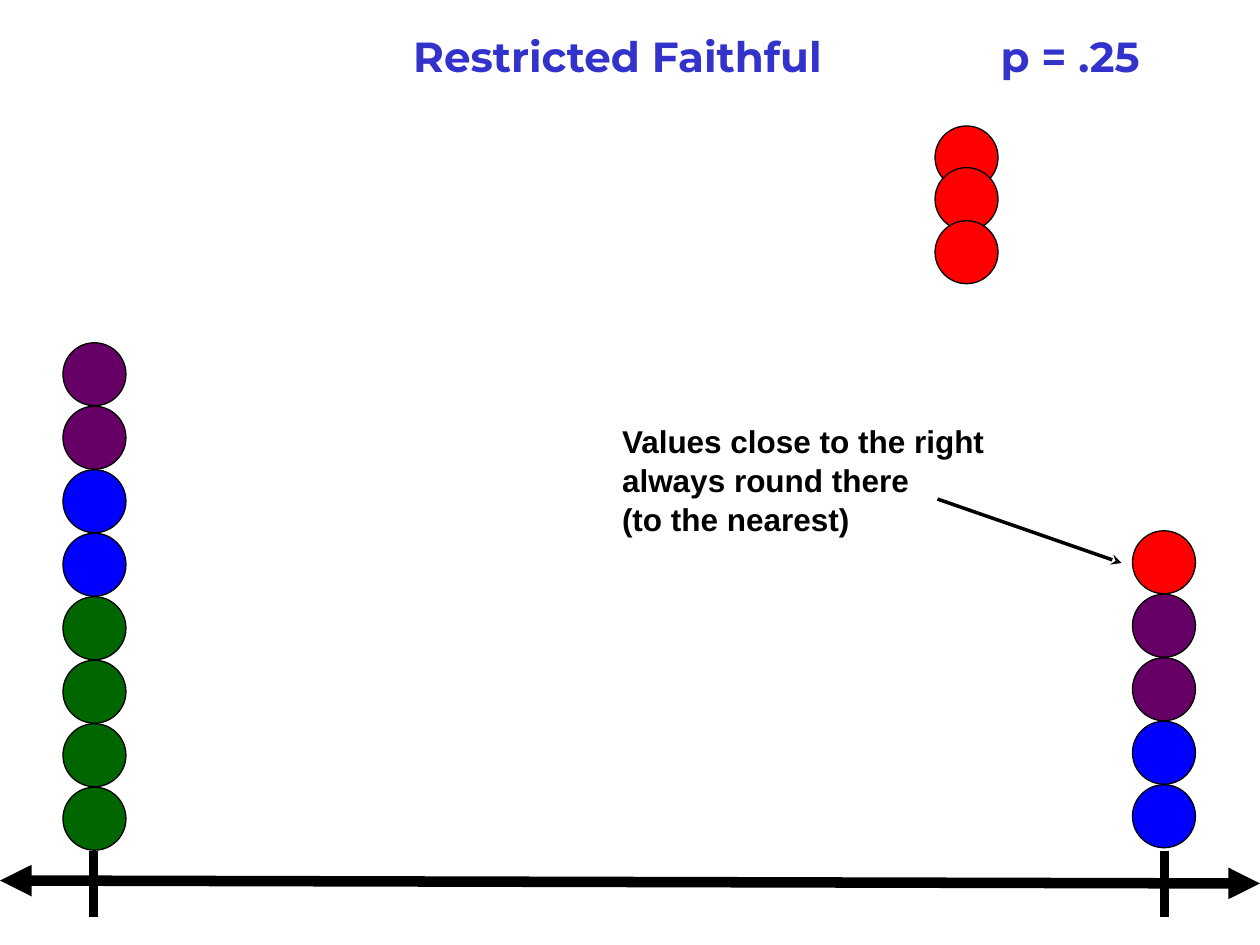
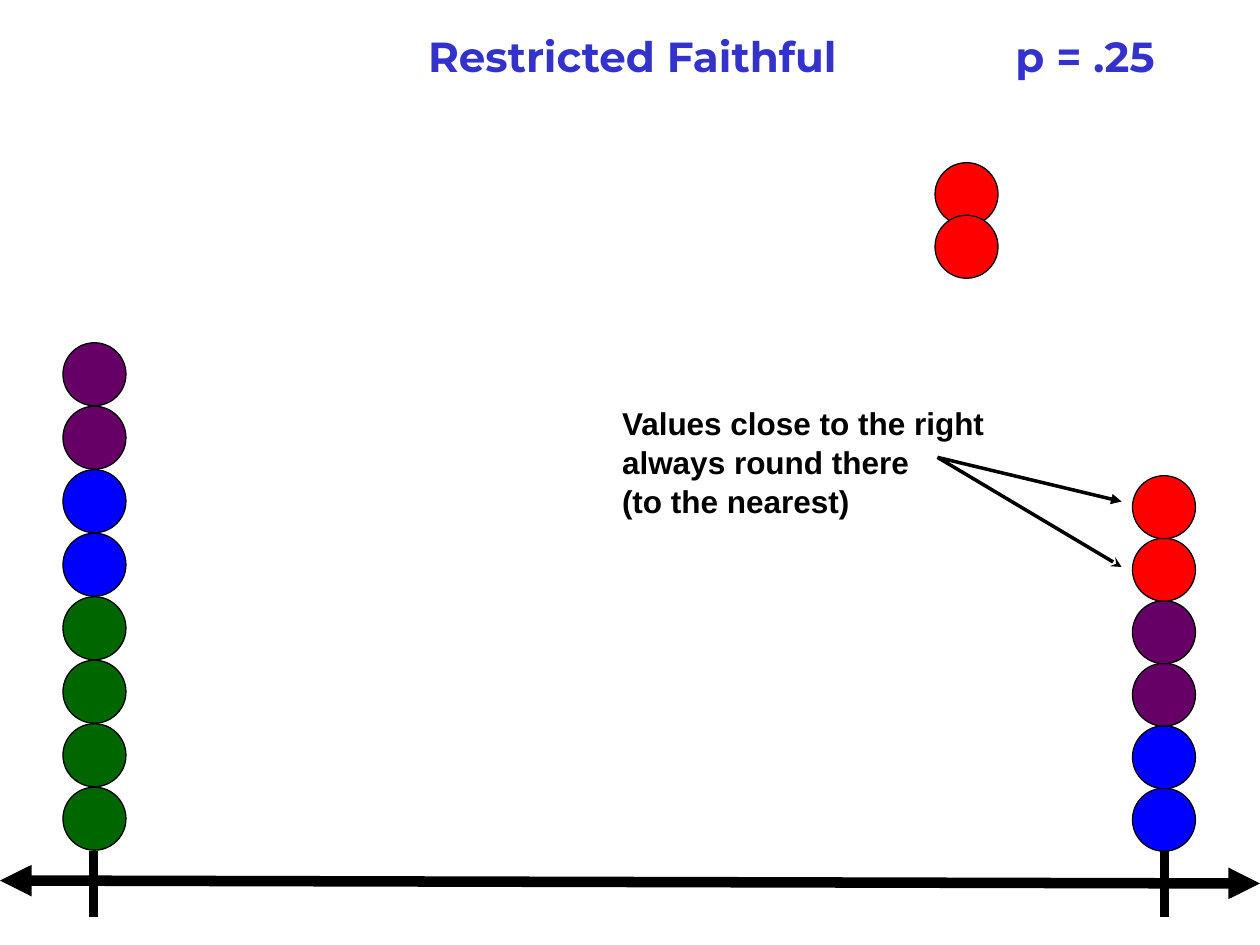
from lxml import etree
from pptx import Presentation
from pptx.dml.color import RGBColor
from pptx.enum.shapes import MSO_CONNECTOR, MSO_SHAPE
from pptx.enum.text import MSO_ANCHOR, MSO_AUTO_SIZE, PP_ALIGN
from pptx.oxml.ns import qn
from pptx.util import Cm, Pt

STRAIGHT = MSO_CONNECTOR.STRAIGHT
OVAL = MSO_SHAPE.OVAL
TOP = MSO_ANCHOR.TOP
NO_AUTOFIT = MSO_AUTO_SIZE.NONE
LEFT = PP_ALIGN.LEFT

TITLE_ONLY = 5
SLIDE_WIDTH, SLIDE_HEIGHT = 25.4, 19.05
COLORS = {
    "title": "3333CC",
    "black": "000000",
    "green": "006600",
    "blue": "0000FF",
    "purple": "660066",
    "red": "FF0000",
}
BALL_SIZE = 1.27
LEFT_STACK_X, WAITING_X, RIGHT_STACK_X = 1.27, 18.85, 22.83
LEFT_STACK = ["green"] * 4 + ["blue"] * 2 + ["purple"] * 2
RIGHT_STACK = ["blue"] * 2 + ["purple"] * 2
TITLE = "Restricted Faithful\tp = .25"
NOTE = "Values close to the right\nalways round there\n(to the nearest)"


def color(name):
    return RGBColor.from_string(COLORS[name])


def write_text(shape, text, *, font, size, fill, bold=True, line_spacing=1.0, tab=None):
    """Fill a shape with left-aligned text, one paragraph per line."""
    frame = shape.text_frame
    frame.word_wrap = True
    frame.auto_size = NO_AUTOFIT
    frame.vertical_anchor = TOP
    frame.margin_left = frame.margin_right = Cm(0.25)
    frame.margin_top = frame.margin_bottom = Cm(0.13)
    frame.text = text
    for paragraph in frame.paragraphs:
        if tab is not None:
            tabs = etree.SubElement(paragraph._p.get_or_add_pPr(), qn("a:tabLst"))
            etree.SubElement(tabs, qn("a:tab"), pos=str(Cm(tab)), algn="l")
        paragraph.alignment = LEFT
        paragraph.line_spacing = line_spacing
        for run in paragraph.runs:
            run.font.name = font
            run.font.size = Pt(size)
            run.font.bold = bold
            run.font.color.rgb = color(fill)


class Deck:
    def __init__(self):
        self.presentation = Presentation()
        self.presentation.slide_width = Cm(SLIDE_WIDTH)
        self.presentation.slide_height = Cm(SLIDE_HEIGHT)
        self.slide = None

    def new_slide(self, title_left):
        layout = self.presentation.slide_layouts[TITLE_ONLY]
        self.slide = self.presentation.slides.add_slide(layout)
        title = self.slide.shapes.title
        title.left, title.top = Cm(title_left), Cm(0.48)
        title.width, title.height = Cm(17.02), Cm(1.27)
        write_text(title, TITLE, font="Montserrat", size=24, fill="title", tab=11.84)

    def ball(self, left, top, fill):
        size = Cm(BALL_SIZE)
        shape = self.slide.shapes.add_shape(OVAL, Cm(left), Cm(top), size, size)
        shape.shadow.inherit = False
        shape.fill.solid()
        shape.fill.fore_color.rgb = color(fill)
        shape.line.color.rgb = color("black")
        shape.line.width = Pt(0.75)

    def stack(self, left, bottom_top, pitch, fills):
        """Pile balls upwards, the first one at the bottom."""
        for level, fill in enumerate(fills):
            self.ball(left, bottom_top - level * pitch, fill)

    def line(self, start, end, width, head=None, tail=None, shapes=None):
        shapes = self.slide.shapes if shapes is None else shapes
        ends = [Cm(length) for length in (*start, *end)]
        connector = shapes.add_connector(STRAIGHT, *ends)
        connector.line.color.rgb = color("black")
        connector.line.width = Pt(width)
        outline = connector.line._get_or_add_ln()
        for tag, kind in (("a:headEnd", head), ("a:tailEnd", tail)):
            if kind:
                etree.SubElement(outline, qn(tag), type=kind)
        etree.SubElement(connector._element.spPr, qn("a:effectLst"))

    def number_line(self):
        shapes = self.slide.shapes.add_group_shape().shapes
        self.line((0, 17.75), (SLIDE_WIDTH, 17.81), 6, "triangle", "triangle", shapes)
        for tick in (1.88, 23.47):
            self.line((tick, 18.49), (tick, 17.15), 5, shapes=shapes)

    def note(self, top):
        box = self.slide.shapes.add_textbox(Cm(12.29), Cm(top), Cm(8.41), Cm(3.3))
        write_text(box, NOTE, font="Arial", size=18, fill="black", line_spacing=1.03)

    def rounding_slide(self, title_left, waiting_tops, right_stack, note_top,
                       arrow_start_y, arrow_ends):
        """right_stack is (bottom, pitch, red count); arrow_ends is (y, arrowhead) pairs."""
        self.new_slide(title_left)
        self.stack(LEFT_STACK_X, 15.87, 1.28, LEFT_STACK)
        bottom_top, pitch, red_count = right_stack
        self.stack(RIGHT_STACK_X, bottom_top, pitch, RIGHT_STACK + ["red"] * red_count)
        for top in waiting_tops:
            self.ball(WAITING_X, top, "red")
        self.number_line()
        self.note(note_top)
        for end_y, arrowhead in arrow_ends:
            self.line((18.9, arrow_start_y), (22.61, end_y), 2, tail=arrowhead)


def main():
    deck = Deck()
    deck.rounding_slide(
        title_left=8.08,
        waiting_tops=(2.54, 3.38, 4.45),
        right_stack=(15.82, 1.28, 1),
        note_top=8.36,
        arrow_start_y=10.06,
        arrow_ends=[(11.35, "stealth")],
    )
    deck.rounding_slide(
        title_left=8.38,
        waiting_tops=(3.28, 4.34),
        right_stack=(15.89, 1.26, 2),
        note_top=8.0,
        arrow_start_y=9.22,
        arrow_ends=[(11.43, "stealth"), (10.11, "triangle")],
    )
    deck.presentation.save("out.pptx")


if __name__ == "__main__":
    main()
